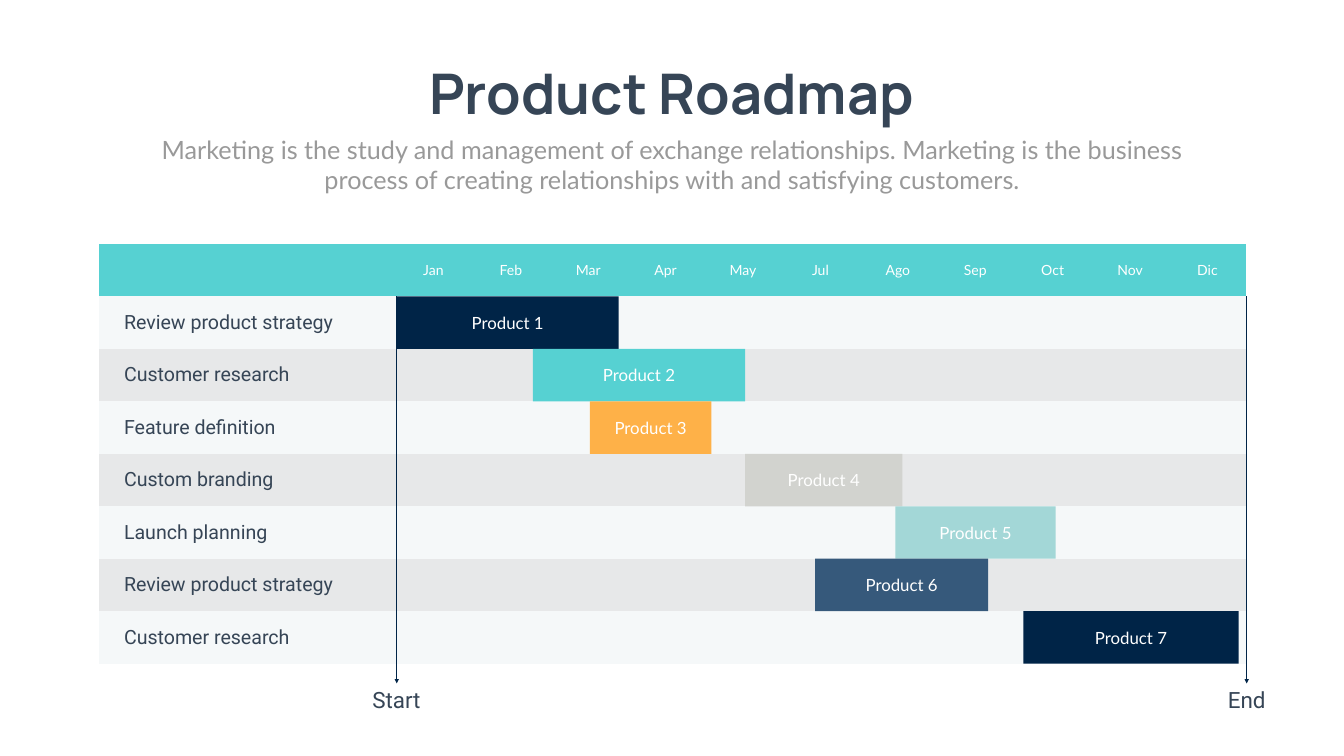
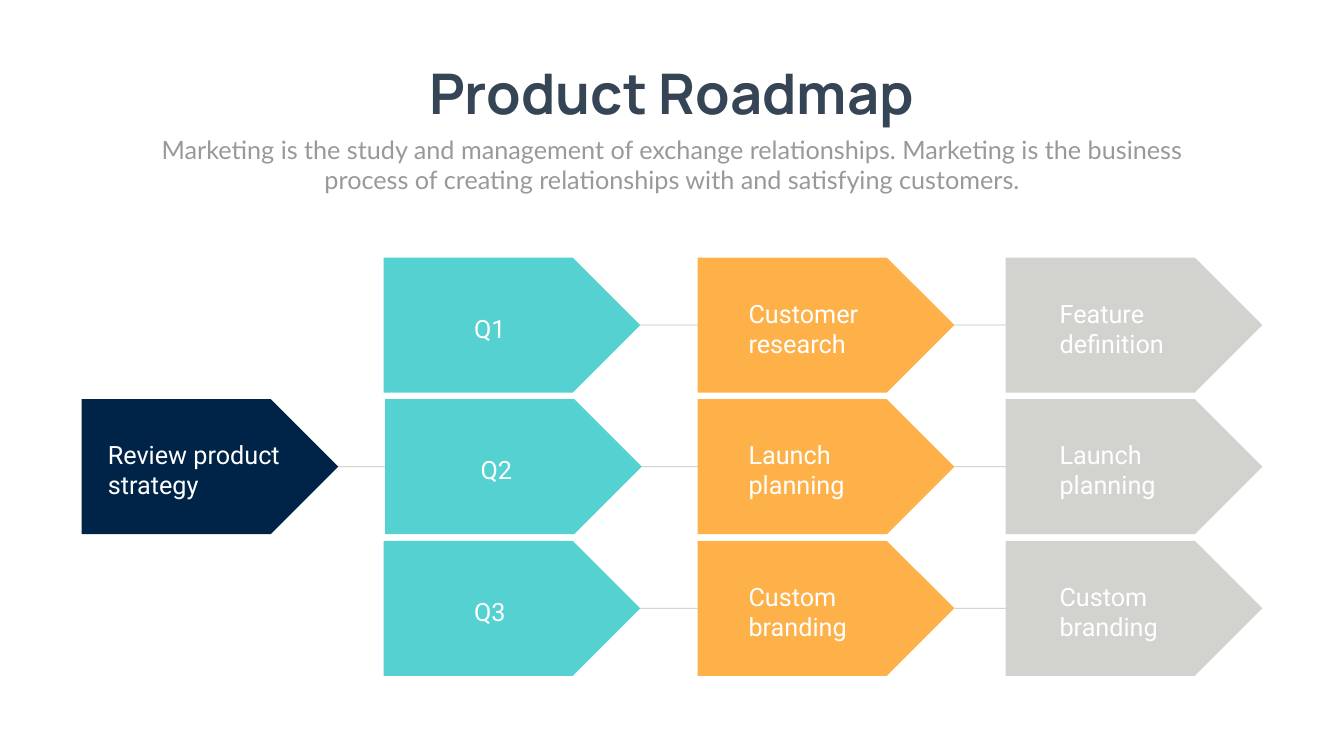
"""Build two product roadmap slides: a monthly timeline and a flow of quarterly stages."""
from lxml.etree import SubElement
from pptx import Presentation
from pptx.dml.color import RGBColor
from pptx.enum.shapes import MSO_CONNECTOR as Connector, MSO_SHAPE as Shape
from pptx.enum.text import MSO_ANCHOR as Anchor, MSO_AUTO_SIZE as AutoSize, PP_ALIGN as Align
from pptx.oxml.ns import qn
from pptx.util import Inches, Pt

COLORS = {
    "slate": "364556", "gray": "999999", "white": "FFFFFF", "navy": "002447",
    "teal": "56D1D2", "orange": "FEB148", "stone": "D2D3CF", "mist": "A3D7D7",
    "blue": "36597B", "light_row": "F5F8F9", "dark_row": "E7E8E9", "link": "808080",
}
GROW = {"word_wrap": True, "auto_size": AutoSize.SHAPE_TO_FIT_TEXT}
ONE_LINE = {"word_wrap": False, "auto_size": AutoSize.SHAPE_TO_FIT_TEXT}
STYLES = {
    "title": ("slate", Align.CENTER, {"name": "Manrope", "size": Pt(80), "bold": True}, ONE_LINE),
    "subtitle": ("gray", Align.CENTER, {"name": "Lato", "size": Pt(36)}, GROW),
    "month": ("white", Align.CENTER, {"name": "Lato", "size": Pt(20)}, {}),
    "task": ("slate", Align.LEFT, {"name": "Roboto", "size": Pt(28)}, {}),
    "bar": ("white", Align.CENTER, {"name": "Lato", "size": Pt(24)},
            {"word_wrap": True, "vertical_anchor": Anchor.MIDDLE}),
    "marker": ("slate", Align.CENTER, {"name": "Roboto", "size": Pt(32)}, ONE_LINE),
    "quarter": ("white", Align.CENTER, {"name": "Roboto", "size": Pt(36)}, GROW),
    "stage": ("white", Align.LEFT, {"name": "Roboto", "size": Pt(36)}, GROW),
}


def write_text(text_frame, text, style):
    color, alignment, font_format, frame_format = STYLES[style]
    for name, value in frame_format.items():
        setattr(text_frame, name, value)
    paragraph = text_frame.paragraphs[0]
    paragraph.alignment = alignment
    run = paragraph.add_run()
    run.text = text
    for name, value in font_format.items():
        setattr(run.font, name, value)
    run.font.color.rgb = RGBColor.from_string(COLORS[color])


def add_block(slide, kind, box, color):
    shape = slide.shapes.add_shape(kind, *map(Inches, box))
    shape.shadow.inherit = False
    shape.fill.solid()
    shape.fill.fore_color.rgb = RGBColor.from_string(COLORS[color])
    shape.line.fill.background()
    return shape


presentation = Presentation()
presentation.slide_width = Inches(26.66)
presentation.slide_height = Inches(15)

HEADINGS = [
    ("title", (7.99, 1.12, 10.67, 1.45), "Product Roadmap"),
    ("subtitle", (2.92, 2.61, 20.82, 1.31),
     "Marketing is the study and management of exchange relationships. Marketing is the "
     "business process of creating relationships with and satisfying customers."),
]
slides = []
for _ in range(2):
    slide = presentation.slides.add_slide(presentation.slide_layouts[6])
    for style, box, text in HEADINGS:
        write_text(slide.shapes.add_textbox(*map(Inches, box)).text_frame, text, style)
    slides.append(slide)
timeline_slide, flow_slide = slides

MONTHS = ["Jan", "Feb", "Mar", "Apr", "May", "Jul", "Ago", "Sep", "Oct", "Nov", "Dic"]
TASKS = [
    ("Review product strategy", "Product 1", 7.87, 4.4, "navy"),
    ("Customer research", "Product 2", 10.57, 4.21, "teal"),
    ("Feature definition", "Product 3", 11.7, 2.41, "orange"),
    ("Custom branding", "Product 4", 14.78, 3.12, "stone"),
    ("Launch planning", "Product 5", 17.76, 3.18, "mist"),
    ("Review product strategy", "Product 6", 16.17, 3.43, "blue"),
    ("Customer research", "Product 7", 20.3, 4.27, "navy"),
]
TABLE_LEFT, TABLE_TOP, TABLE_WIDTH, TABLE_HEIGHT = 1.96, 4.84, 22.76, 8.33
TASK_WIDTH = 5.87
ROW_HEIGHT = TABLE_HEIGHT / (len(TASKS) + 1)

table_frame = timeline_slide.shapes.add_table(
    len(TASKS) + 1, len(MONTHS) + 1,
    *map(Inches, (TABLE_LEFT, TABLE_TOP, TABLE_WIDTH, TABLE_HEIGHT)))
table = table_frame.table
table.first_row = table.horz_banding = False
style_id = next(table_frame.element.iter(qn("a:tableStyleId")))
style_id.text = "{2D5ABB26-0587-4C30-8999-92F81FD0307C}"
for index, column in enumerate(table.columns):
    month_width = (TABLE_WIDTH - TASK_WIDTH) / len(MONTHS)
    column.width = Inches(month_width if index else TASK_WIDTH)

MONTH_CELL = {"margin_left": 0, "margin_right": 0,
              "margin_top": Inches(0.05), "margin_bottom": Inches(0.05)}
TASK_CELL = {"margin_left": Inches(0.5), "margin_right": Inches(0.07),
             "margin_top": Inches(0.04), "margin_bottom": Inches(0.04)}
for row_index in range(len(TASKS) + 1):
    row_color = ("dark_row", "light_row")[row_index % 2] if row_index else "teal"
    for column_index in range(len(MONTHS) + 1):
        cell = table.cell(row_index, column_index)
        cell.fill.solid()
        cell.fill.fore_color.rgb = RGBColor.from_string(COLORS[row_color])
        cell.vertical_anchor = Anchor.MIDDLE
        for name, value in (TASK_CELL if row_index else MONTH_CELL).items():
            setattr(cell, name, value)
        if row_index == 0 and column_index:
            write_text(cell.text_frame, MONTHS[column_index - 1], "month")
        elif row_index and column_index == 0:
            write_text(cell.text_frame, TASKS[row_index - 1][0], "task")

connectors = []
BARS_TOP, MARKER_TOP = 5.88, 13.56
for text, center, left, width in [("Start", 7.87, 7.28, 1.17), ("End", 24.73, 24.25, 0.96)]:
    marker = timeline_slide.shapes.add_connector(
        Connector.STRAIGHT, *map(Inches, (center, BARS_TOP, center, MARKER_TOP)))
    connectors.append((marker, "navy", 1.5))
    label = timeline_slide.shapes.add_textbox(*map(Inches, (left, MARKER_TOP, width, 0.64)))
    write_text(label.text_frame, text, "marker")

for index, (_, product, left, width, color) in enumerate(TASKS):
    box = (left, BARS_TOP + index * ROW_HEIGHT, width, ROW_HEIGHT)
    bar = add_block(timeline_slide, Shape.RECTANGLE, box, color)
    write_text(bar.text_frame, product, "bar")

ARROW_WIDTH, ARROW_HEIGHT = 5.09, 2.68
FLOW_TOP, FLOW_PITCH = 5.11, 2.81
STAGES = [
    (0, 1, 1.62, 2.04, "navy", "Review product strategy"),
    (1, 0, 7.61, 8.39, "teal", "Q1"),
    (1, 1, 7.64, 8.52, "teal", "Q2"),
    (1, 2, 7.61, 8.39, "teal", "Q3"),
    (2, 0, 13.84, 14.75, "orange", "Customer research"),
    (2, 1, 13.84, 14.75, "orange", "Launch planning"),
    (2, 2, 13.84, 14.75, "orange", "Custom branding"),
    (3, 0, 19.95, 20.92, "stone", "Feature definition"),
    (3, 1, 19.95, 20.92, "stone", "Launch planning"),
    (3, 2, 19.95, 20.92, "stone", "Custom branding"),
]
arrows = {}
for column, row, left, label_left, color, text in STAGES:
    top = FLOW_TOP + row * FLOW_PITCH
    arrow = add_block(flow_slide, Shape.PENTAGON, (left, top, ARROW_WIDTH, ARROW_HEIGHT), color)
    arrows[column, row] = arrow
    style, offset, height = ("quarter", 1.05, 0.69) if column == 1 else ("stage", 0.75, 1.29)
    label_width = 2.65 if column else 3.77
    label = flow_slide.shapes.add_textbox(
        *map(Inches, (label_left, top + offset, label_width, height)))
    write_text(label.text_frame, text, style)

for (column, row), arrow in arrows.items():
    if (column + 1, row) in arrows:
        link = flow_slide.shapes.add_connector(Connector.STRAIGHT, 0, 0, 0, 0)
        link.begin_connect(arrow, 3)
        link.end_connect(arrows[column + 1, row], 1)
        connectors.append((link, "link", 1))

for connector, color, width in connectors:
    connector.line.color.rgb = RGBColor.from_string(COLORS[color])
    connector.line.width = Pt(width)
    line = connector.line._get_or_add_ln()
    if color == "link":
        SubElement(next(line.iter(qn("a:srgbClr"))), qn("a:alpha"), val="50000")
    else:
        SubElement(line, qn("a:tailEnd"), type="triangle")
    SubElement(connector.element.spPr, qn("a:effectLst"))

presentation.save("out.pptx")
